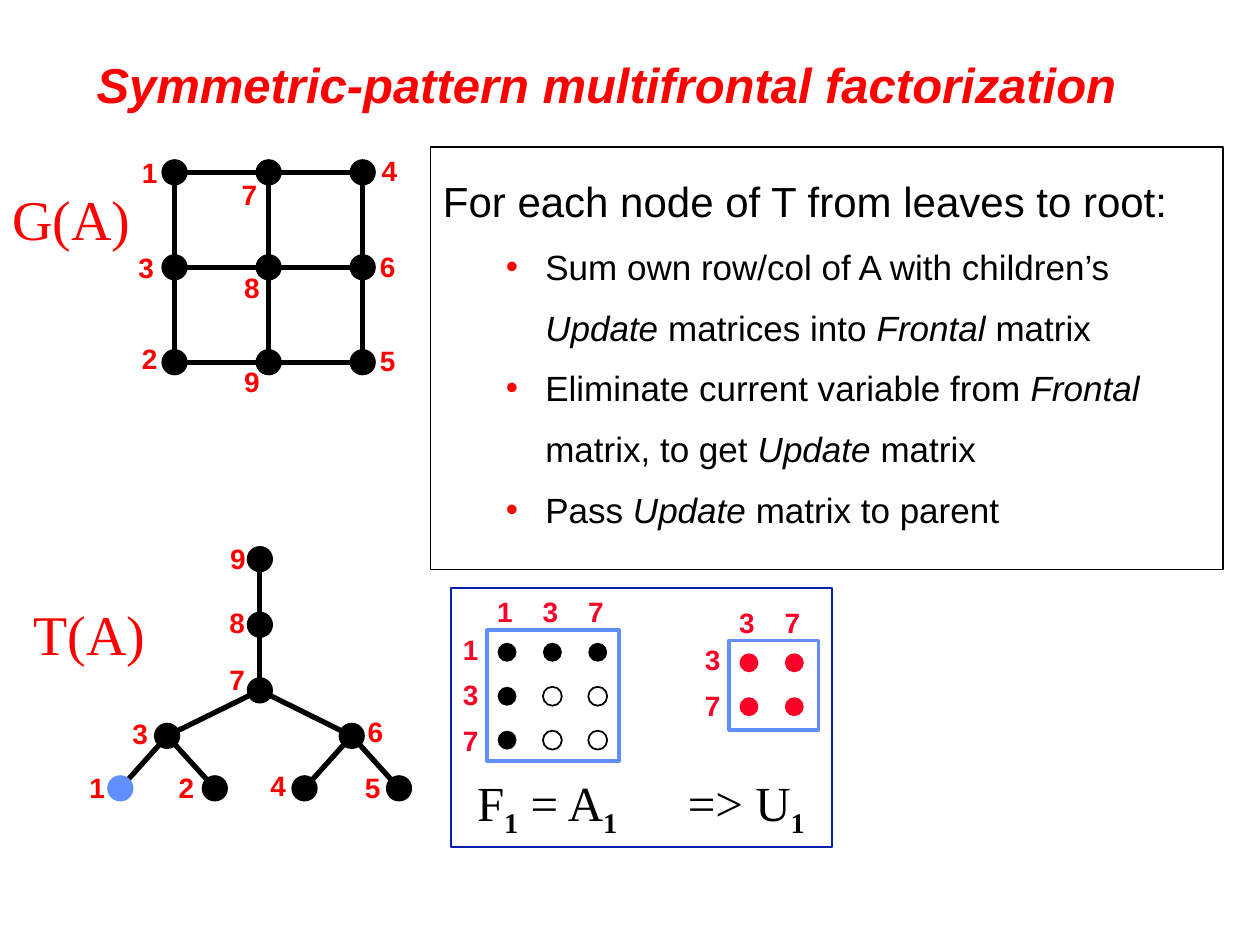
from lxml import etree
from pptx import Presentation
from pptx.dml.color import RGBColor
from pptx.enum import shapes, text
from pptx.oxml import ns
from pptx.util import Pt

RED = RGBColor(0xFF, 0x00, 0x00)
CRIMSON = RGBColor(0xFC, 0x01, 0x28)
BLACK = RGBColor(0x00, 0x00, 0x00)
SKY = RGBColor(0x61, 0x8F, 0xFD)
NAVY = RGBColor(0x02, 0x1F, 0xAE)
SANS, SERIF = "Arial", "Times New Roman"
NODE_SIZE, ENTRY_SIZE = 15, 10.8

GRID_ROWS = ((1, 7, 4), (3, 8, 6), (2, 9, 5))
GRID_LABELS = {
    1: (74, 85.5), 2: (74, 191.5), 3: (72, 139.5), 4: (211, 84), 5: (210, 193),
    6: (210, 139), 7: (131, 98), 8: (132.5, 151), 9: (132.5, 204.5),
}
TREE_NODES = {
    1: (68.75, 450.5), 2: (122.75, 450.5), 3: (95.5, 420.5),
    4: (174, 450.5), 5: (228, 450.5), 6: (201, 420.5),
    7: (148.5, 394.5), 8: (148.5, 357), 9: (148.5, 319.5),
}
TREE_EDGES = ((9, 8), (8, 7), (7, 3), (7, 6), (3, 1), (3, 2), (6, 4), (6, 5))
TREE_LABELS = {
    1: (44, 436.5), 2: (95, 436.5), 3: (68.5, 406), 4: (147.5, 435.5), 5: (201.5, 437),
    6: (203, 404.5), 7: (124, 375), 8: (124, 342.5), 9: (124.5, 306),
}
HEADING = "For each node of T from leaves to root:"
STEPS = (
    "Sum own row/col of A with children’s *Update* matrices into *Frontal *matrix",
    "Eliminate current variable from *Frontal* matrix, to get *Update* matrix",
    "Pass *Update* matrix to parent",
)


def style(span, size, color, name=SANS, bold=False, italic=False):
    """Set the font of a run."""
    font = span.font
    font.size, font.name, font.bold, font.italic = Pt(size), name, bold, italic
    font.color.rgb = color


def add_text(page, words, left, top, width, height, size, color, name=SANS, bold=False):
    """Add a one-line text box; digits after an underscore become subscripts."""
    box = page.shapes.add_textbox(Pt(left), Pt(top), Pt(width), Pt(height))
    box.text_frame.word_wrap = False
    para = box.text_frame.paragraphs[0]
    for index, part in enumerate(words.split("_")):
        pieces = (part[:1], part[1:]) if index else ("", part)
        for piece, lowered in zip(pieces, (True, False)):
            if piece:
                span = para.add_run()
                span.text = piece
                style(span, size, color, name, bold or lowered)
                if lowered:
                    span.font._element.set("baseline", "-25000")


def add_label(page, number, left, top, color=RED):
    """Add a bold node or index number."""
    add_text(page, str(number), left, top, 23.25, 26.5, 16, color, bold=True)


def add_outline(page, left, top, width, height, color, weight):
    """Add an unfilled rectangle."""
    kind = shapes.MSO_SHAPE.RECTANGLE
    box = page.shapes.add_shape(kind, Pt(left), Pt(top), Pt(width), Pt(height))
    box.shadow.inherit = False
    box.fill.background()
    box.line.color.rgb = color
    box.line.width = Pt(weight)
    return box


def add_dot(page, center, size, color=BLACK, filled=True):
    """Add a filled or hollow circle around a centre."""
    x, y = center
    dot = page.shapes.add_shape(
        shapes.MSO_SHAPE.OVAL, Pt(x - size / 2), Pt(y - size / 2), Pt(size), Pt(size))
    dot.shadow.inherit = False
    if filled:
        dot.fill.solid()
        dot.fill.fore_color.rgb = color
        dot.line.fill.background()
    else:
        dot.fill.background()
        dot.line.color.rgb = color
        dot.line.width = Pt(1)


def add_edge(page, start, end):
    """Join two points with a thick black line."""
    kind = shapes.MSO_CONNECTOR.STRAIGHT
    edge = page.shapes.add_connector(kind, *(Pt(value) for value in (*start, *end)))
    edge.line.color.rgb = BLACK
    edge.line.width = Pt(3)
    etree.SubElement(edge._element.spPr, ns.qn("a:effectLst"))


def add_graph(page, nodes, edges, labels, highlighted=()):
    """Draw the edges, nodes and numbers of a graph."""
    for start, end in edges:
        add_edge(page, nodes[start], nodes[end])
    for number, center in nodes.items():
        add_dot(page, center, NODE_SIZE, SKY if number in highlighted else BLACK)
        add_label(page, number, *labels[number])


def add_grid_graph(page):
    """Draw the three by three grid graph."""
    nodes = {number: (99.75 + 53.75 * col, 98.5 + 54.25 * row)
             for row, numbers in enumerate(GRID_ROWS) for col, number in enumerate(numbers)}
    lines = GRID_ROWS + tuple(zip(*GRID_ROWS))
    edges = [(line[0], line[-1]) for line in lines]
    add_graph(page, nodes, edges, GRID_LABELS)


def add_matrix(page, left, top, side, indices, color, is_filled):
    """Draw a framed dot matrix with row and column numbers."""
    for row, number in enumerate(indices):
        for col in range(len(indices)):
            center = (left + 11.25 + 25.9 * col, top + 12.75 + 25.1 * row)
            add_dot(page, center, ENTRY_SIZE, color, is_filled(row, col))
        add_label(page, number, left - 1.5 + 26 * row, top - 23.75, CRIMSON)
        add_label(page, number, left - 21, top - 2.25 + 26 * row, CRIMSON)
    add_outline(page, left, top, side, side, SKY, 2.25)


def add_bullet(para):
    """Give a paragraph a red bullet and a hanging indent."""
    props = para._p.get_or_add_pPr()
    props.set("marL", str(Pt(58.5)))
    props.set("indent", str(Pt(-22.5)))
    color = etree.SubElement(props, ns.qn("a:buClr"))
    etree.SubElement(color, ns.qn("a:srgbClr")).set("val", str(RED))
    etree.SubElement(props, ns.qn("a:buFont")).set("typeface", SANS)
    etree.SubElement(props, ns.qn("a:buChar")).set("char", "•")


def add_algorithm(page):
    """Add the framed list of steps; asterisks enclose italics."""
    frame = add_outline(page, 246, 84, 453, 241.5, BLACK, 1).text_frame
    frame.word_wrap = True
    frame.vertical_anchor = text.MSO_ANCHOR.TOP
    frame.text = HEADING
    style(frame.paragraphs[0].runs[0], 24, BLACK)
    for step in STEPS:
        para = frame.add_paragraph()
        for index, part in enumerate(step.split("*")):
            span = para.add_run()
            span.text = part
            style(span, 20, BLACK, italic=index % 2 == 1)
    for para in frame.paragraphs:
        para.alignment = text.PP_ALIGN.LEFT
        para.line_spacing = 1.45
    for para in frame.paragraphs[1:]:
        add_bullet(para)


def set_title(page, words):
    """Place and format the slide title."""
    title = page.shapes.title
    title.left, title.top, title.width, title.height = Pt(48), Pt(24), Pt(630), Pt(48)
    title.text_frame.text = words
    title.text_frame.vertical_anchor = text.MSO_ANCHOR.MIDDLE
    para = title.text_frame.paragraphs[0]
    para.alignment = text.PP_ALIGN.LEFT
    style(para.runs[0], 28, RED, bold=True, italic=True)


def main():
    """Build the slide and save the deck."""
    deck = Presentation()
    deck.slide_width, deck.slide_height = Pt(720), Pt(540)
    page = deck.slides.add_slide(deck.slide_layouts[5])
    set_title(page, "Symmetric-pattern multifrontal factorization")
    add_text(page, "T(A)", 12, 339, 86.5, 46, 32, RED, SERIF)
    add_graph(page, TREE_NODES, TREE_EDGES, TREE_LABELS, highlighted=(1,))
    add_grid_graph(page)
    add_text(page, "G(A)", 0, 102, 90, 46, 32, RED, SERIF)
    add_matrix(page, 278.5, 360, 75, (1, 3, 7), BLACK, lambda row, col: row * col == 0)
    add_matrix(page, 416.75, 366, 51, (3, 7), CRIMSON, lambda row, col: True)
    add_text(page, "F_1 = A_1", 265.5, 438, 95.5, 45, 28, BLACK, SERIF)
    add_text(page, "=> U_1", 386, 438, 81, 45, 28, BLACK, SERIF)
    add_outline(page, 257.75, 336, 217.5, 148, NAVY, 1)
    add_algorithm(page)
    deck.save("out.pptx")


if __name__ == "__main__":
    main()
